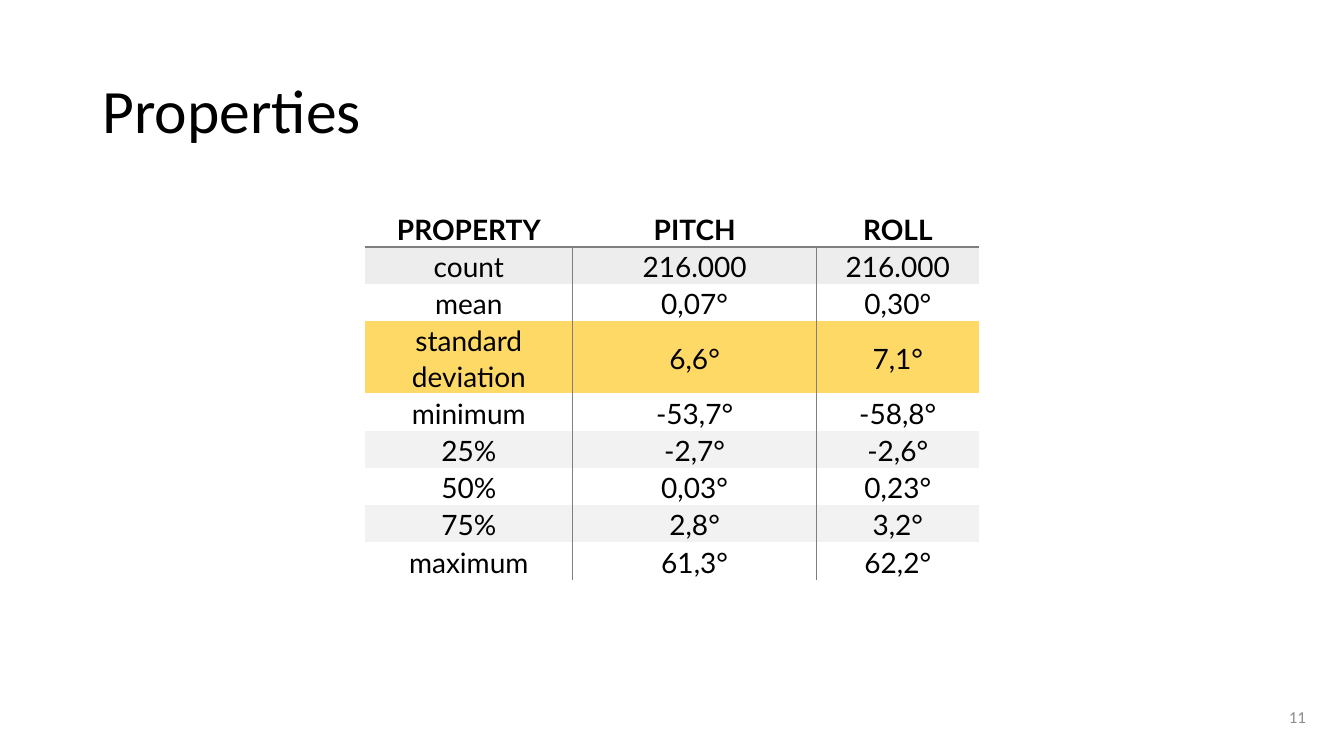
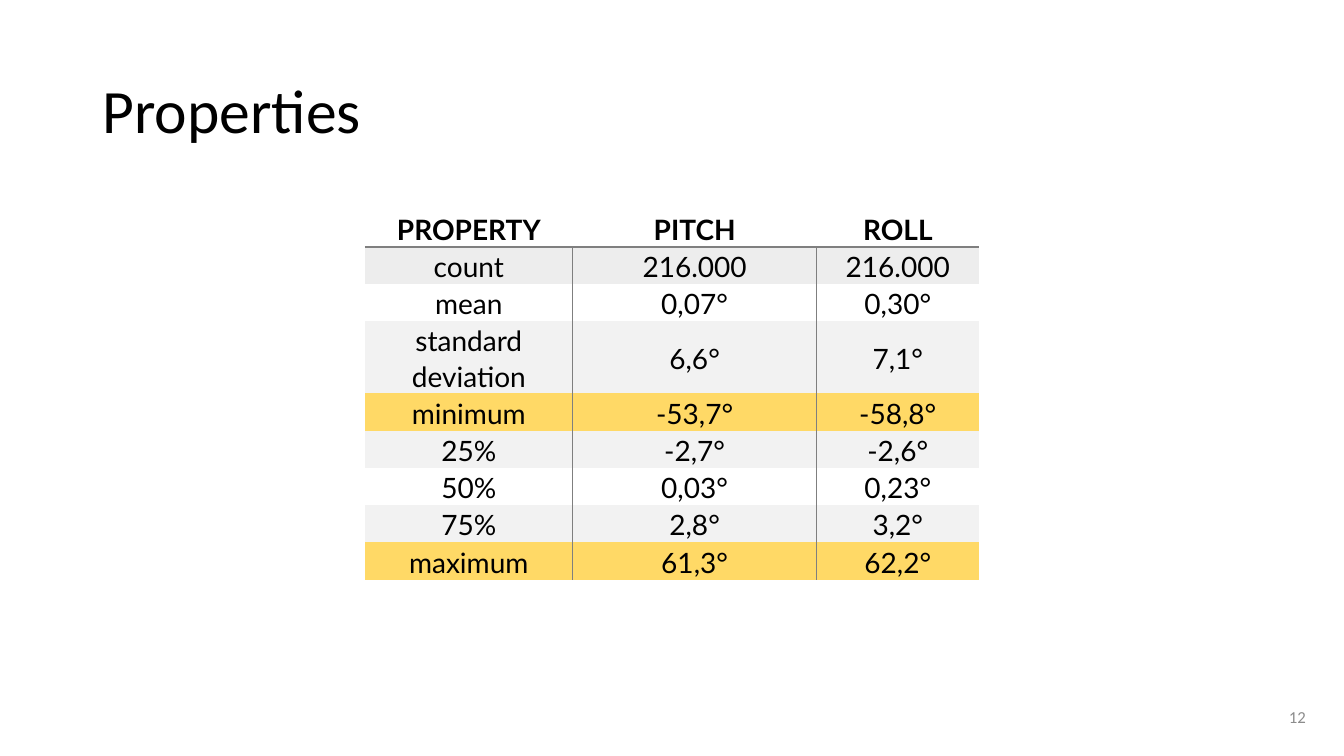
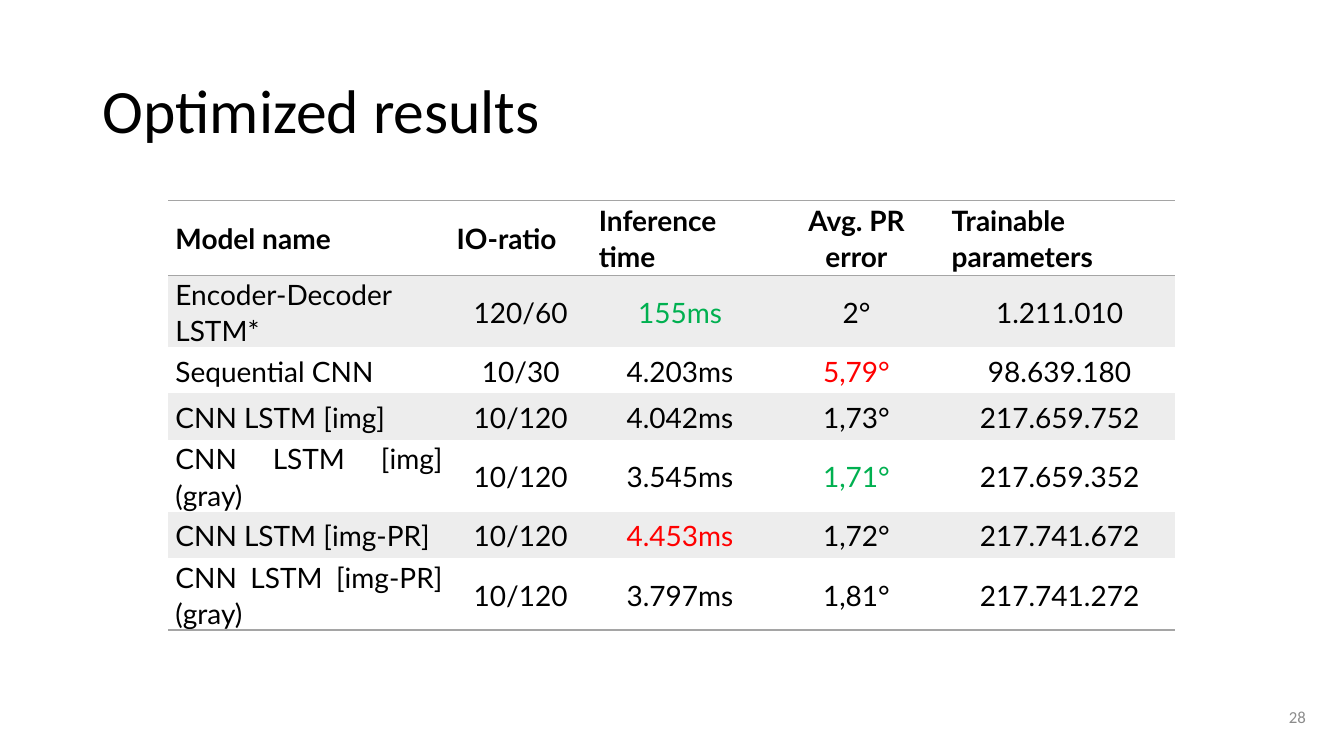
from lxml import etree
from pptx import Presentation
from pptx.dml.color import RGBColor
from pptx.enum.text import MSO_ANCHOR, PP_ALIGN
from pptx.oxml.ns import qn
from pptx.util import Inches, Pt

CENTER, JUSTIFY = PP_ALIGN.CENTER, PP_ALIGN.JUSTIFY
LEFT, RIGHT = PP_ALIGN.LEFT, PP_ALIGN.RIGHT
MIDDLE = MSO_ANCHOR.MIDDLE

BLACK, PAGE_GRAY = "000000", "8C8C8C"
HEADER_BAND, BAND, HIGHLIGHT = "EDEDED", "F2F2F2", "FFD966"
PROPERTY_RULE, RESULT_RULE = "7F7F7F", "A5A5A5"
GREEN, RED = "00B050", "FF0000"
PLAIN_TABLE_STYLE = "{2D5ABB26-0587-4C30-8999-92F81FD0307C}"

PROPERTIES = [
    ("PROPERTY", "PITCH", "ROLL"),
    ("count", "216.000", "216.000"),
    ("mean", "0,07°", "0,30°"),
    ("standard deviation", "6,6°", "7,1°"),
    ("minimum", "-53,7°", "-58,8°"),
    ("25%", "-2,7°", "-2,6°"),
    ("50%", "0,03°", "0,23°"),
    ("75%", "2,8°", "3,2°"),
    ("maximum", "61,3°", "62,2°"),
]
PROPERTY_SLIDES = [
    (11, {"standard deviation"}),
    (12, {"minimum", "maximum"}),
]
RESULTS = [
    ("Model name", "IO-ratio", "Inference time", "Avg. PR error", "Trainable parameters"),
    ("Encoder-Decoder LSTM*", "120/60", "155ms", "2°", "1.211.010"),
    ("Sequential CNN", "10/30", "4.203ms", "5,79°", "98.639.180"),
    ("CNN LSTM [img]", "10/120", "4.042ms", "1,73°", "217.659.752"),
    ("CNN LSTM [img] (gray)", "10/120", "3.545ms", "1,71°", "217.659.352"),
    ("CNN LSTM [img-PR]", "10/120", "4.453ms", "1,72°", "217.741.672"),
    ("CNN LSTM [img-PR] (gray)", "10/120", "3.797ms", "1,81°", "217.741.272"),
]
RESULT_COLORS = {"155ms": GREEN, "1,71°": GREEN, "4.453ms": RED, "5,79°": RED}


def rgb(value):
    return RGBColor.from_string(value)


def style_paragraph(paragraph, font_name, size, color, alignment, bold=False):
    paragraph.alignment = alignment
    font = paragraph.font
    font.name, font.size, font.bold = font_name, Pt(size), bold
    font.color.rgb = rgb(color)


def add_text(slide, text, box, size, color, alignment, line_spacing=1.0):
    frame = slide.shapes.add_textbox(*map(Inches, box)).text_frame
    frame.word_wrap = True
    frame.vertical_anchor = MIDDLE
    paragraph = frame.paragraphs[0]
    paragraph.text = text
    paragraph.line_spacing = line_spacing
    style_paragraph(paragraph, "Calibri", size, color, alignment)


def add_slide(presentation, title, number):
    slide = presentation.slides.add_slide(presentation.slide_layouts[6])
    add_text(slide, str(number), (10.8, 6.91, 2.25, 0.4), 12, PAGE_GRAY, RIGHT)
    add_text(slide, title, (0.92, 0.4, 12.11, 1.45), 44, BLACK, LEFT, 0.9)
    return slide


def add_border(cell, edge, color):
    line = etree.SubElement(cell._tc.get_or_add_tcPr(), qn(f"a:ln{edge}"), w=str(Pt(1)))
    fill = etree.SubElement(line, qn("a:solidFill"))
    etree.SubElement(fill, qn("a:srgbClr"), val=color)


def fill_cell(cell, text, alignment, color, bold, fill):
    cell.margin_left = cell.margin_right = Inches(0.07)
    cell.margin_top = cell.margin_bottom = 0
    cell.vertical_anchor = MIDDLE
    paragraph = cell.text_frame.paragraphs[0]
    paragraph.text = text
    paragraph.line_spacing = 1.07
    paragraph.space_after = Pt(8)
    style_paragraph(paragraph, "Lato", 20, color, alignment, bold)
    if fill:
        cell.fill.solid()
        cell.fill.fore_color.rgb = rgb(fill)
    else:
        cell.fill.background()


def add_table(slide, rows, position, widths, heights, rule, borders, row_fill,
              alignment=lambda row, column: CENTER, colors={}):
    frame = slide.shapes.add_table(
        len(rows), len(widths), *map(Inches, (*position, sum(widths), sum(heights))))
    table = frame.table
    table.first_row = table.horz_banding = False
    table._tbl.tblPr.find(qn("a:tableStyleId")).text = PLAIN_TABLE_STYLE
    for column, width in zip(table.columns, widths):
        column.width = Inches(width)
    for row, height in zip(table.rows, heights):
        row.height = Inches(height)
    for row, texts in enumerate(rows):
        for column, text in enumerate(texts):
            cell = table.cell(row, column)
            for edge in borders(row, column):
                add_border(cell, edge, rule)
            fill_cell(cell, text, alignment(row, column), colors.get(text, BLACK),
                      row == 0, row_fill(row))


def property_borders(row, column):
    if row == 0:
        return "B"
    return "L" if column == 1 else ""


def result_borders(row, column):
    if row == 0:
        return "TB"
    return "B" if row == len(RESULTS) - 1 else ""


def result_alignment(row, column):
    return JUSTIFY if column == 0 or (row == 0 and column != 3) else CENTER


def result_fill(row):
    return HEADER_BAND if row % 2 else None


def add_property_slide(presentation, number, highlighted):
    def row_fill(row):
        if PROPERTIES[row][0] in highlighted:
            return HIGHLIGHT
        if row == 1:
            return HEADER_BAND
        return BAND if row % 2 else None

    slide = add_slide(presentation, "Properties", number)
    add_table(slide, PROPERTIES, (3.62, 2.08), (2.06, 2.42, 1.61),
              [0.37] * len(PROPERTIES), PROPERTY_RULE, property_borders, row_fill)


def add_result_slide(presentation):
    slide = add_slide(presentation, "Optimized results", 28)
    add_table(slide, RESULTS, (1.67, 1.99), (2.79, 1.41, 1.75, 1.75, 2.28),
              [0.74] + [0.46] * (len(RESULTS) - 1), RESULT_RULE, result_borders,
              result_fill, result_alignment, RESULT_COLORS)


def main():
    presentation = Presentation()
    presentation.slide_width, presentation.slide_height = Inches(13.33), Inches(7.5)
    for number, highlighted in PROPERTY_SLIDES:
        add_property_slide(presentation, number, highlighted)
    add_result_slide(presentation)
    presentation.save("out.pptx")


if __name__ == "__main__":
    main()
